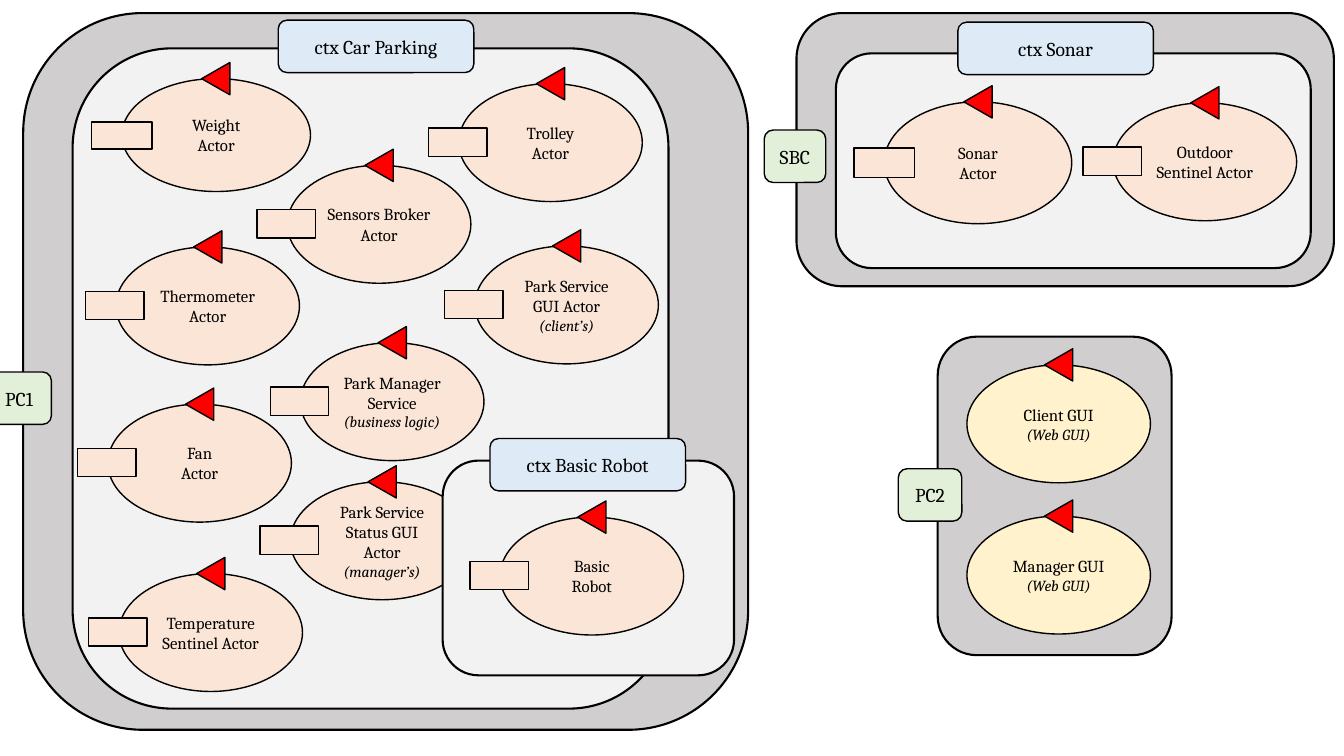
"""Draw the actor contexts of a car parking system and the nodes that host them."""
from pptx import Presentation
from pptx.dml.color import RGBColor as RGB
from pptx.enum.shapes import MSO_SHAPE as Kind
from pptx.enum.text import MSO_ANCHOR as Anchor, PP_ALIGN as Align
from pptx.util import Emu, Pt

SCALE = 9144
SMALL = (182, 117)
GREY, PALE, BLUE, GREEN = "D0CECE", "F2F2F2", "DEEBF7", "E2F0D9"
PEACH, CREAM, RED, BLACK = "FBE5D6", "FFF2CC", "FF0000", "000000"
HEAD = {"size": Pt(14), "name": "Cambria", "italic": False}
BODY = {"size": Pt(12), "name": "Cambria", "italic": False}
NOTE = {"size": Pt(11), "name": "Cambria", "italic": True}

PARK = [
    ("Park Manager Service\n(business logic)", 226, 292, SMALL),
    ("Park Service GUI Actor\n(client’s)", 399, 196, SMALL),
    ("Trolley\nActor", 383, 35, SMALL),
    ("Weight\nActor", 49, 30, (187, 112)),
    ("Sensors Broker Actor", 213, 116, SMALL),
    ("Park Service Status GUI Actor\n(manager’s)", 216, 430, SMALL),
    ("Thermometer\nActor", 43, 197, SMALL),
    ("Fan\nActor", 35, 353, SMALL),
    ("Temperature Sentinel Actor", 46, 521, SMALL),
]
SONAR = [
    ("Sonar\nActor", 48, 48, (186, 121)),
    ("Outdoor Sentinel Actor", 275, 49, SMALL),
]
ROBOT = [("Basic\nRobot", 57, 56, SMALL)]
PAGES = [
    ("Client GUI\n(Web GUI)", 29, 28, SMALL),
    ("Manager GUI\n(Web GUI)", 29, 178, SMALL),
]


def px(size):
    """Turn px into EMU."""
    return Emu(round(size) * SCALE)


def tint(color, code):
    """Set a colour from a hex string."""
    color.rgb = RGB.from_string(code)


def draw(shapes, kind, box, fill, width=1):
    """Add a filled, outlined shape in the given box."""
    shape = shapes.add_shape(kind, *map(px, box))
    shape.shadow.inherit = False
    shape.fill.solid()
    tint(shape.fill.fore_color, fill)
    tint(shape.line.color, BLACK)
    shape.line.width = Pt(width)
    return shape


def write(shape, text, style):
    """Centre the lines of text in a shape, with bracketed lines as notes."""
    frame = shape.text_frame
    frame.word_wrap = True
    frame.vertical_anchor = Anchor.MIDDLE
    for i, line in enumerate(text.split("\n")):
        para = frame.add_paragraph() if i else frame.paragraphs[0]
        para.alignment = Align.CENTER
        run = para.add_run()
        run.text = line
        for key, value in (NOTE if line.startswith("(") else style).items():
            setattr(run.font, key, value)
        tint(run.font.color, BLACK)


def actor(shapes, text, box, fill, queue=True):
    """Group an oval, its red arrow and, if wanted, its message queue."""
    left, top, wide, high = box
    parts = shapes.add_group_shape().shapes
    write(draw(parts, Kind.OVAL, box, fill), text, BODY)
    arrow = (left + wide / 2 - 16, top - 14, 32, 28)
    draw(parts, Kind.ISOSCELES_TRIANGLE, arrow, RED).rotation = 270
    if queue:
        w, h = 0.32 * wide, 0.24 * high
        draw(parts, Kind.RECTANGLE, (left - 30, top + (high - h) / 2, w, h), fill)


def crowd(shapes, box, actors, fill, queue=True):
    """Place actors relative to a box."""
    for text, x, y, size in actors:
        actor(shapes, text, (box[0] + x, box[1] + y, *size), fill, queue)


def label(shapes, text, box, fill):
    """Add a rounded label."""
    write(draw(shapes, Kind.ROUNDED_RECTANGLE, box, fill), text, HEAD)


def node(shapes, box, name, x, y, wide):
    """Draw a host machine with its name tag."""
    draw(shapes, Kind.ROUNDED_RECTANGLE, box, GREY, 1.5)
    label(shapes, name, (box[0] + x, box[1] + y, wide, 52), GREEN)


def context(shapes, box, name, x, y, actors):
    """Draw a context with its label and actors."""
    draw(shapes, Kind.ROUNDED_RECTANGLE, box, PALE, 1.5)
    label(shapes, name, (box[0] + x, box[1] + y, 194, 52), BLUE)
    crowd(shapes, box, actors, PEACH)


def main():
    """Build and save the slide."""
    deck = Presentation()
    deck.slide_width, deck.slide_height = px(1333), px(750)
    shapes = deck.slides.add_slide(deck.slide_layouts[6]).shapes
    web = (930, 334, 232, 316)
    node(shapes, (23, 13, 719, 711), "PC1", -36, 356, 64)
    node(shapes, web, "PC2", -39, 131, 63)
    node(shapes, (790, 13, 533, 271), "SBC", -32, 116, 61)
    context(shapes, (72, 48, 591, 655), "ctx Car Parking", 204, -28, PARK)
    context(shapes, (829, 53, 471, 213), "ctx Sonar", 121, -31, SONAR)
    crowd(shapes, web, PAGES, CREAM, queue=False)
    context(shapes, (439, 457, 289, 213), "ctx Basic Robot", 47, -22, ROBOT)
    deck.save("out.pptx")


if __name__ == "__main__":
    main()
